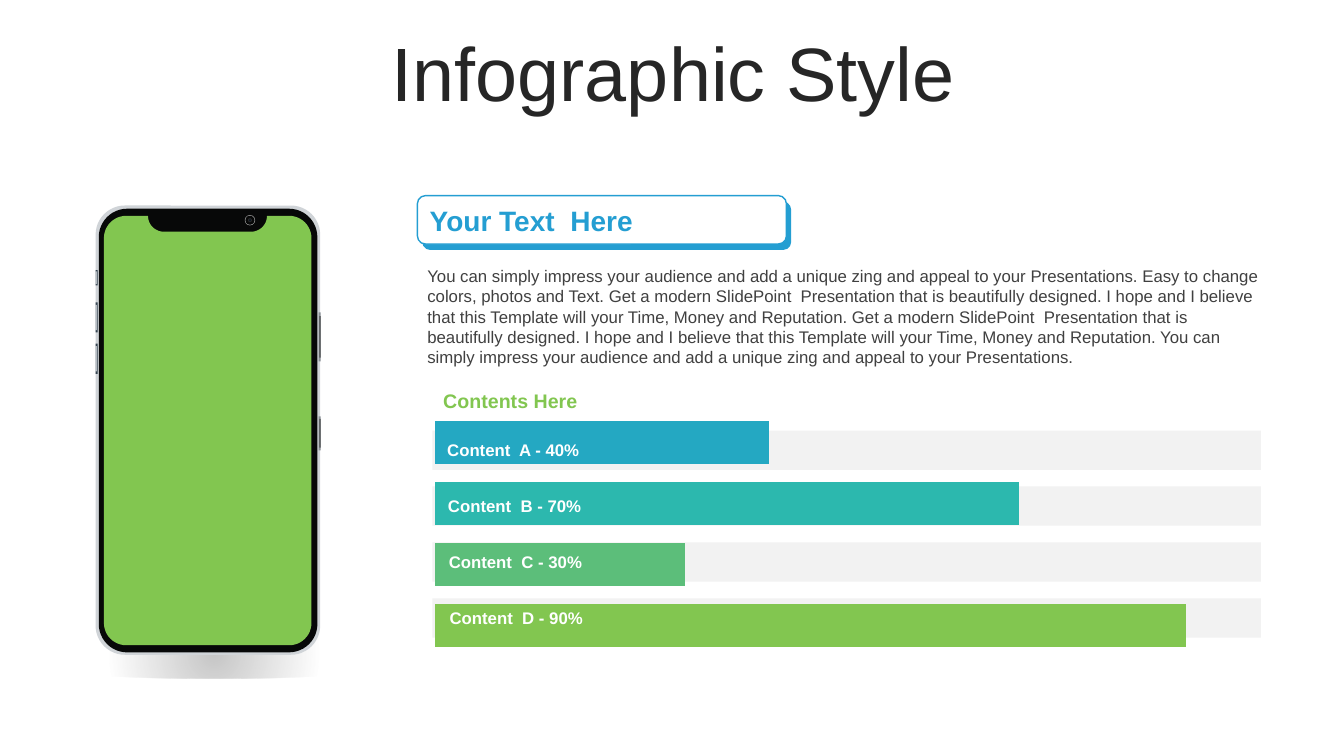
from math import cos, radians, sin

from lxml import etree
from pptx import Presentation
from pptx.chart.data import CategoryChartData
from pptx.dml.color import RGBColor
from pptx.enum.chart import XL_CHART_TYPE as ChartType
from pptx.enum.shapes import MSO_SHAPE as Shape
from pptx.enum.text import MSO_ANCHOR as Anchor, PP_ALIGN as Align
from pptx.oxml import parse_xml
from pptx.util import Cm, Pt

FONT = "Arial"
WHITE = RGBColor(0xFF, 0xFF, 0xFF)
BLACK = RGBColor(0x00, 0x00, 0x00)
INK = RGBColor(0x26, 0x26, 0x26)
BODY = RGBColor(0x40, 0x40, 0x40)
BLUE = RGBColor(0x24, 0x9E, 0xD2)
GREEN = RGBColor(0x82, 0xC6, 0x50)
TRACK = RGBColor(0xF2, 0xF2, 0xF2)
CASE = RGBColor(0xD0, 0xD4, 0xD8)
BEZEL = RGBColor(0x07, 0x08, 0x08)
KEY_LEFT = RGBColor(0x36, 0x45, 0x51)
KEY_LEFT_SHINE = RGBColor(0xFA, 0xFD, 0xFF)
KEY_RIGHT = RGBColor(0x8A, 0x90, 0x96)
KEY_RIGHT_SHADE = RGBColor(0x4A, 0x4C, 0x4D)
LENS_RING = RGBColor(0xA6, 0xA6, 0xA6)
LENS_CORE = RGBColor(0x08, 0x14, 0x22)

CONTENTS = [
    ("A", 40, RGBColor(0x24, 0xA8, 0xC2)),
    ("B", 70, RGBColor(0x2C, 0xB8, 0xAE)),
    ("C", 30, RGBColor(0x5C, 0xBE, 0x7A)),
    ("D", 90, GREEN),
]
ROW_STEP = 1.41

STORY = (
    "You can simply impress your audience and add a unique zing and appeal to your "
    "Presentations. Easy to change colors, photos and Text. Get a modern SlidePoint  "
    "Presentation that is beautifully designed. I hope and I believe that this Template "
    "will your Time, Money and Reputation. Get a modern SlidePoint  Presentation that is "
    "beautifully designed. I hope and I believe that this Template will your Time, Money "
    "and Reputation. You can simply impress your audience and add a unique zing and "
    "appeal to your Presentations."
)

SOFT_SHADOW = """
<a:gradFill xmlns:a="http://schemas.openxmlformats.org/drawingml/2006/main">
  <a:gsLst>
    <a:gs pos="0"><a:srgbClr val="808080"><a:alpha val="45000"/></a:srgbClr></a:gs>
    <a:gs pos="43000"><a:srgbClr val="808080"><a:alpha val="0"/></a:srgbClr></a:gs>
    <a:gs pos="100000"><a:srgbClr val="808080"><a:alpha val="0"/></a:srgbClr></a:gs>
  </a:gsLst>
  <a:path path="circle"><a:fillToRect l="50000" t="50000" r="50000" b="50000"/></a:path>
</a:gradFill>"""


def paint(part, fill, line=None):
    part.shadow.inherit = False
    part.fill.solid()
    part.fill.fore_color.rgb = fill
    if line is None:
        part.line.fill.background()
    else:
        part.line.color.rgb = line
        part.line.width = Pt(1)


def add_block(slide, kind, box, fill, line=None, corner=None):
    block = slide.shapes.add_shape(kind, *map(Cm, box))
    paint(block, fill, line)
    if corner is not None:
        block.adjustments[0] = corner
    return block


def write(holder, text, size, color, bold=False, align=Align.LEFT, anchor=Anchor.MIDDLE):
    frame = holder.text_frame
    frame.word_wrap = True
    frame.vertical_anchor = anchor
    paragraph = frame.paragraphs[0]
    paragraph.text = text
    paragraph.alignment = align
    font = paragraph.font
    font.name, font.size, font.bold = FONT, Pt(size), bold
    font.color.rgb = color
    return frame


def add_text(slide, box, *args, **style):
    return write(slide.shapes.add_textbox(*map(Cm, box)), *args, **style)


def arc(x, y, radius, start, end, steps=12):
    angles = [radians(start + (end - start) * i / steps) for i in range(steps + 1)]
    return [(Cm(x + radius * cos(a)), Cm(y + radius * sin(a))) for a in angles]


def add_screen(slide):
    left, right, top, bottom, radius = 3.18, 7.29, 6, 15.7, 0.56
    notch_left, notch_right, notch_top, notch_radius = 4.13, 6.33, 5.44, 0.4
    outline = (
        arc(left, top, radius, 180, 270)
        + arc(notch_left, notch_top, notch_radius, 180, 90)
        + arc(notch_right, notch_top, notch_radius, 90, 0)
        + arc(right, top, radius, 270, 360)
        + arc(right, bottom, radius, 0, 90)
        + arc(left, bottom, radius, 90, 180)
    )
    builder = slide.shapes.build_freeform(*outline[0])
    builder.add_line_segments(outline[1:], close=True)
    paint(builder.convert_to_shape(), GREEN)


def add_key(slide, x, inner_x, top, height, fill, inner_fill):
    inset = 0.08 * height
    add_block(slide, Shape.RECTANGLE, (x, top, 0.05, height), fill)
    add_block(slide, Shape.RECTANGLE,
              (inner_x, top + inset, 0.03, height - 2 * inset), inner_fill)


def add_phone(slide):
    # Soft shadow under the phone
    glow = add_block(slide, Shape.OVAL, (-0.76, 15.85, 12.32, 1.24), TRACK)
    properties = glow.fill._xPr
    properties.replace(properties.find("{*}solidFill"),
                       parse_xml(etree.tostring(etree.fromstring(SOFT_SHADOW))))

    # Case, bezel and screen
    add_block(slide, Shape.ROUNDED_RECTANGLE, (2.41, 5.18, 5.66, 11.32), CASE, corner=0.13)
    add_block(slide, Shape.ROUNDED_RECTANGLE, (2.49, 5.26, 5.51, 11.18), BEZEL, corner=0.13)
    add_screen(slide)

    # Side keys
    for top, height in [(6.81, 0.38), (7.62, 0.76), (8.66, 0.76)]:
        add_key(slide, 2.41, 2.41, top, height, KEY_LEFT, KEY_LEFT_SHINE)
    for top, height in [(7.87, 1.24), (10.49, 0.86)]:
        add_key(slide, 8.03, 8.05, top, height, KEY_RIGHT, KEY_RIGHT_SHADE)

    # Camera
    for size, fill in [(0.26, LENS_RING), (0.23, BEZEL), (0.1, INK), (0.05, LENS_CORE)]:
        add_block(slide, Shape.OVAL, (6.3 - size / 2, 5.55 - size / 2, size, size), fill)


def add_bars(slide):
    bottom_up = CONTENTS[::-1]
    shares = CategoryChartData()
    shares.categories = ["1", "2", "3", "4"]
    shares.add_series("Series 1", [share for _, share, _ in bottom_up])
    box = map(Cm, (10.52, 10.26, 21.92, 6.4))
    chart = slide.shapes.add_chart(ChartType.BAR_STACKED, *box, shares).chart
    chart.has_legend = chart.has_title = False
    chart.font.name, chart.font.size = FONT, Pt(12)
    chart.font.color.rgb = BLACK
    chart.category_axis.visible = False
    axis = chart.value_axis
    axis.visible = axis.has_major_gridlines = False
    axis.minimum_scale, axis.maximum_scale = 0, 100

    plot = chart.plots[0]
    plot.gap_width, plot.overlap, plot.vary_by_categories = 40, 100, False
    series = plot.series[0]
    series.format.fill.solid()
    series.format.fill.fore_color.rgb = BODY
    for i, (_, _, color) in enumerate(bottom_up):
        fill = series.points[i].format.fill
        fill.solid()
        fill.fore_color.rgb = color


def add_contents(slide):
    for row in range(len(CONTENTS)):
        add_block(slide, Shape.RECTANGLE, (10.9, 10.85 + row * ROW_STEP, 20.88, 0.99), TRACK)
    add_bars(slide)
    for row, (letter, share, _) in enumerate(CONTENTS):
        add_text(slide, (11.02 + row * 0.02, 10.95 + row * ROW_STEP, 4.34, 0.76),
                 f"Content  {letter} - {share}%", 12, WHITE, bold=True)
    heading = add_text(slide, (10.87, 9.7, 4.85, 0.79), "Contents Here", 14, GREEN, bold=True)
    heading.margin_left = Cm(0.3)


def add_banner(slide):
    add_block(slide, Shape.ROUNDED_RECTANGLE, (10.64, 5.08, 9.3, 1.22), BLUE)
    banner = add_block(slide, Shape.ROUNDED_RECTANGLE, (10.52, 4.93, 9.3, 1.22), WHITE, BLUE)
    write(banner, "Your Text  Here", 20, BLUE, bold=True)


def main():
    deck = Presentation()
    deck.slide_width, deck.slide_height = Cm(33.87), Cm(19.05)
    slide = deck.slides.add_slide(deck.slide_layouts[6])

    add_phone(slide)
    title = add_text(slide, (0.89, 0.94, 32.16, 2.01), "Infographic Style", 54, INK,
                     align=Align.CENTER)
    title.paragraphs[0].line_spacing = 0.9
    add_contents(slide)
    add_text(slide, (10.52, 6.58, 21.69, 2.82), STORY, 12, BODY, anchor=Anchor.TOP)
    add_banner(slide)

    deck.save("out.pptx")


if __name__ == "__main__":
    main()
